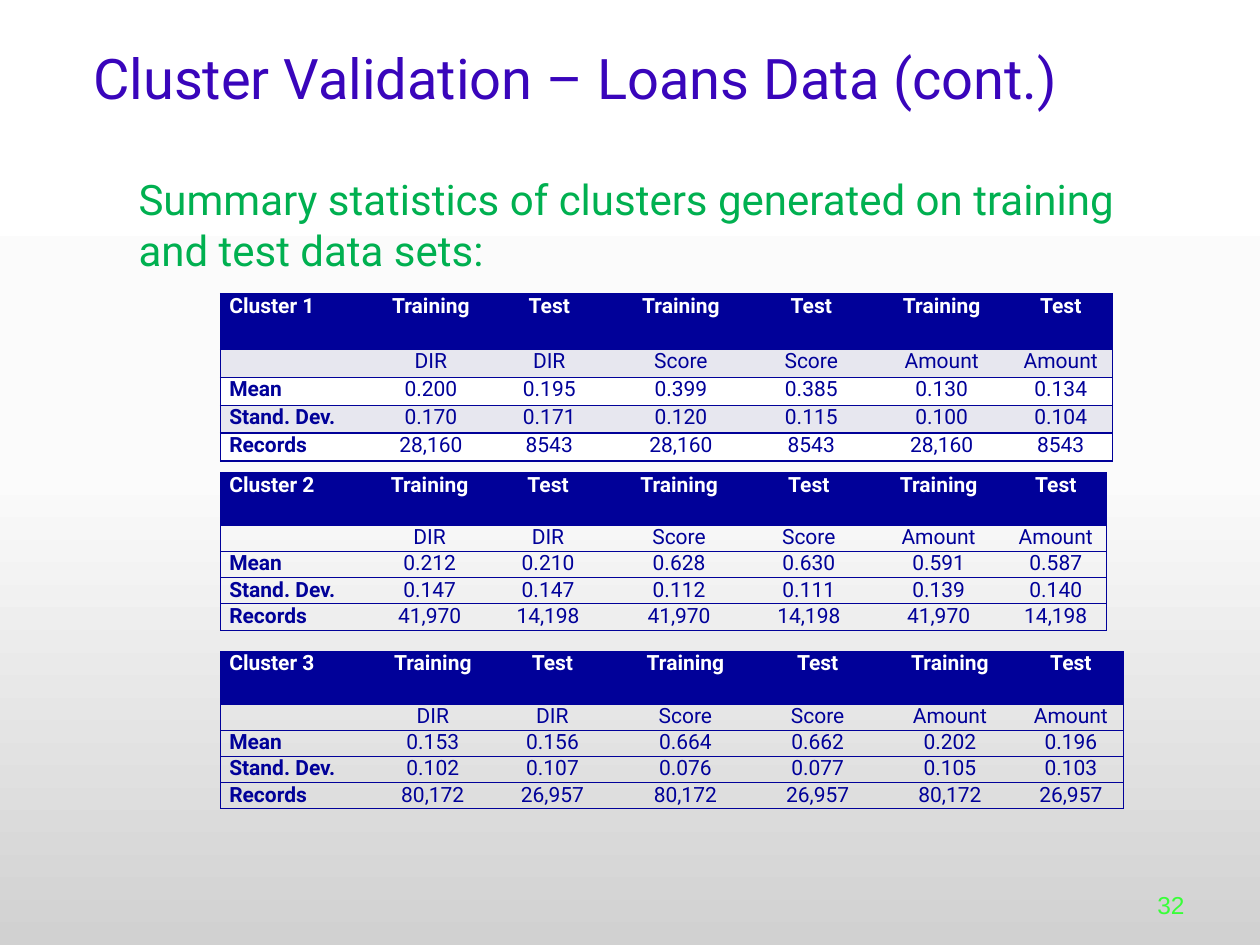
from pptx import Presentation
from pptx.dml.color import RGBColor
from pptx.enum.text import MSO_ANCHOR, PP_ALIGN
from pptx.oxml.ns import qn
from pptx.util import Inches, Pt
from lxml.etree import SubElement

LEFT, CENTER, RIGHT = PP_ALIGN.LEFT, PP_ALIGN.CENTER, PP_ALIGN.RIGHT
TOP, MIDDLE, BOTTOM = MSO_ANCHOR.TOP, MSO_ANCHOR.MIDDLE, MSO_ANCHOR.BOTTOM

NAVY = RGBColor(0x01, 0x01, 0x99)
WHITE = RGBColor(0xFF, 0xFF, 0xFF)
PALE = RGBColor(0xE7, 0xE7, 0xEF)
VIOLET = RGBColor(0x39, 0x05, 0xBB)
GREEN = RGBColor(0x00, 0xB0, 0x50)
LIME = RGBColor(0x38, 0xFF, 0x38)
BACKGROUND = [(0, WHITE), (50, RGBColor(0xFB, 0xFB, 0xFB)),
              (100, RGBColor(0xD1, 0xD1, 0xD1))]

# Content: text, box, left inset, size, font, colour, alignment, anchor
TEXTS = [
    ("32", (9.08, 6.83, 0.42, 0.52), 0.1, 14, "Arial", LIME, RIGHT, BOTTOM),
    ("Summary statistics of clusters generated on training and test data sets:",
     (0.5, 1.33, 9, 5.25), 0.6, 24, "Roboto", GREEN, LEFT, TOP),
    ("Cluster Validation – Loans Data (cont.)",
     (0.14, -0.02, 10, 1.26), 0.6, 32, "Roboto", VIOLET, LEFT, MIDDLE),
]

DATASETS = ["Training", "Test"] * 3
VARIABLES = ["", "DIR", "DIR", "Score", "Score", "Amount", "Amount"]
TABLE_LEFT = 1.75
CLUSTERS = [
    {"name": "Cluster 1", "top": 2.33, "height": 1.33, "line": 1,
     "fills": [PALE, WHITE, PALE, WHITE],
     "widths": [1.24, 0.86, 1.02, 1.07, 1, 1.07, 0.82],
     "mean": ["0.200", "0.195", "0.399", "0.385", "0.130", "0.134"],
     "deviation": ["0.170", "0.171", "0.120", "0.115", "0.100", "0.104"],
     "records": ["28,160", "8543"]},
    {"name": "Cluster 2", "top": 3.75, "height": 1.25, "line": 0.5,
     "fills": [None] * 4,
     "widths": [1.23, 0.86, 1.02, 1.06, 1, 1.06, 0.8],
     "mean": ["0.212", "0.210", "0.628", "0.630", "0.591", "0.587"],
     "deviation": ["0.147", "0.147", "0.112", "0.111", "0.139", "0.140"],
     "records": ["41,970", "14,198"]},
    {"name": "Cluster 3", "top": 5.17, "height": 1.25, "line": 0.5,
     "fills": [None] * 4,
     "widths": [1.25, 0.87, 1.03, 1.08, 1.02, 1.08, 0.84],
     "mean": ["0.153", "0.156", "0.664", "0.662", "0.202", "0.196"],
     "deviation": ["0.102", "0.107", "0.076", "0.077", "0.105", "0.103"],
     "records": ["80,172", "26,957"]},
]


def set_font(paragraph, size, name, color, bold=False):
    font = paragraph.font
    font.size, font.name, font.bold = Pt(size), name, bold
    font.color.rgb = color


def paint_background(slide):
    fill = slide.background.fill
    fill.gradient()
    fill.gradient_angle = 270
    stops = slide.element.find(".//" + qn("a:gsLst"))
    for stop in list(stops):
        stops.remove(stop)
    for position, color in BACKGROUND:
        stop = SubElement(stops, qn("a:gs"), pos=str(position * 1000))
        SubElement(stop, qn("a:srgbClr"), val=str(color))


def add_text(slide, text, box, inset, size, font, color, align, anchor):
    frame = slide.shapes.add_textbox(*map(Inches, box)).text_frame
    frame.word_wrap = True
    frame.margin_left = Inches(inset)
    frame.vertical_anchor = anchor
    paragraph = frame.paragraphs[0]
    paragraph.text, paragraph.alignment = text, align
    set_font(paragraph, size, font, color)


def set_borders(cell, width, sides):
    """Draw the named sides and clear the others."""
    properties = cell._tc.get_or_add_tcPr()
    for side in "LRTB":
        line = SubElement(properties, qn("a:ln" + side), w=str(Pt(width)))
        if side in sides:
            fill = SubElement(line, qn("a:solidFill"))
            SubElement(fill, qn("a:srgbClr"), val=str(NAVY))
        else:
            SubElement(line, qn("a:noFill"))


def fill_cell(cell, text, align, color, bold, fill):
    cell.margin_left = cell.margin_right = Inches(0.07)
    cell.margin_top = cell.margin_bottom = 0
    paragraph = cell.text_frame.paragraphs[0]
    paragraph.text, paragraph.alignment = text, align
    set_font(paragraph, 12, "Roboto", color, bold)
    if not text:  # an empty cell keeps the row low only with its own size
        SubElement(paragraph._p, qn("a:endParaRPr"), sz="1200")
    if fill is None:
        cell.fill.background()
    else:
        cell.fill.solid()
        cell.fill.fore_color.rgb = fill


def add_cluster(slide, cluster):
    rows = [
        [cluster["name"]] + DATASETS,
        VARIABLES,
        ["Mean"] + cluster["mean"],
        ["Stand. Dev."] + cluster["deviation"],
        ["Records"] + cluster["records"] * 3,
    ]
    fills = [NAVY] + cluster["fills"]
    widths = cluster["widths"]
    table = slide.shapes.add_table(
        len(rows), len(widths), Inches(TABLE_LEFT), Inches(cluster["top"]),
        Inches(sum(widths)), Inches(cluster["height"])).table
    table.first_row = table.horz_banding = False
    for column, width in zip(table.columns, widths):
        column.width = Inches(width)

    # The header is twice as high as each other row
    unit = cluster["height"] / (len(rows) + 1)
    for r, values in enumerate(rows):
        header = r == 0
        table.rows[r].height = Inches(unit * (2 if header else 1))
        for c, value in enumerate(values):
            cell = table.cell(r, c)
            sides = "TB" + ("L" if c == 0 else "R" if c == len(values) - 1 else "")
            set_borders(cell, cluster["line"], sides)
            fill_cell(cell, value, LEFT if c == 0 else CENTER,
                      WHITE if header else NAVY, header or c == 0, fills[r])


def main():
    deck = Presentation()
    deck.slide_width, deck.slide_height = Inches(10), Inches(7.5)
    slide = deck.slides.add_slide(deck.slide_layouts[6])
    paint_background(slide)
    for text in TEXTS:
        add_text(slide, *text)
    for cluster in CLUSTERS:
        add_cluster(slide, cluster)
    deck.save("out.pptx")


if __name__ == "__main__":
    main()
